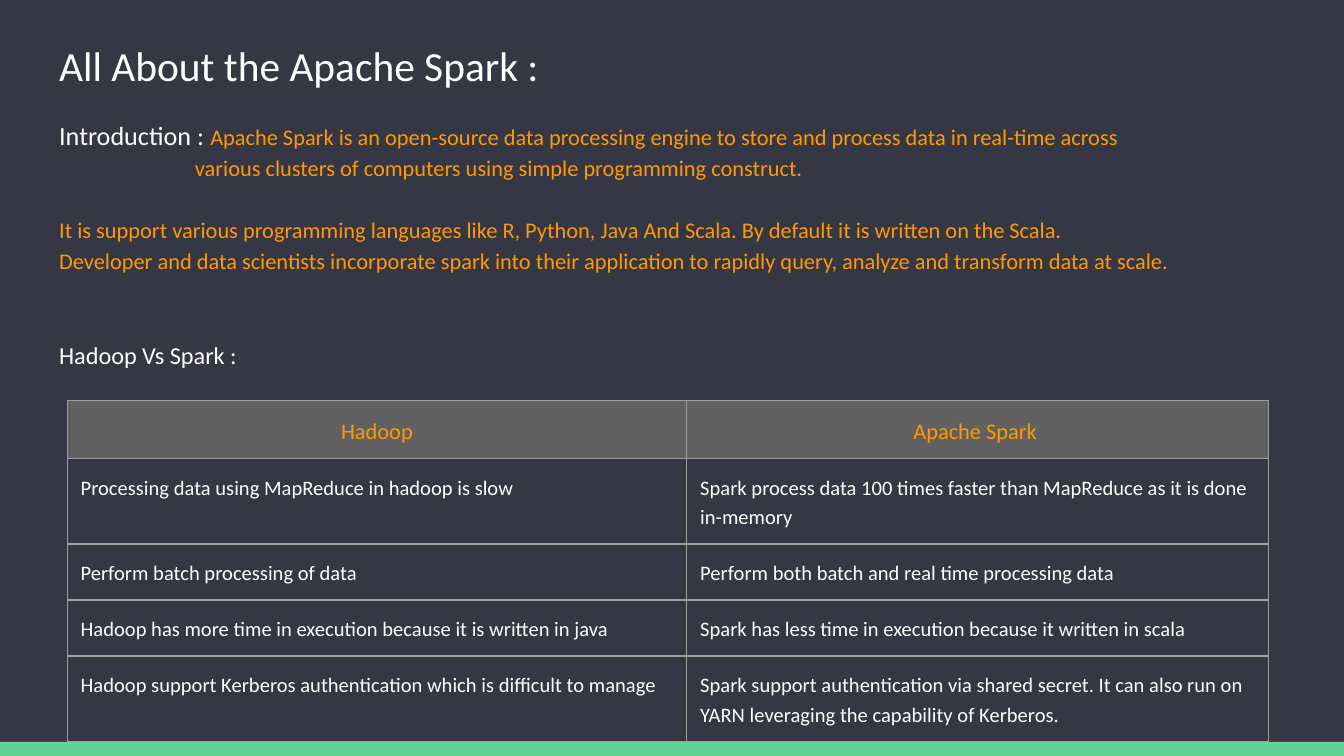
from lxml.etree import SubElement
from pptx import Presentation
from pptx.dml.color import RGBColor
from pptx.enum.shapes import MSO_SHAPE
from pptx.enum.text import MSO_ANCHOR, MSO_AUTO_SIZE, PP_ALIGN
from pptx.oxml.ns import qn
from pptx.util import Inches, Pt

NAVY = RGBColor(0x35, 0x37, 0x44)
GREEN = RGBColor(0x63, 0xD2, 0x97)
ORANGE = RGBColor(0xFF, 0x99, 0x00)
WHITE = RGBColor(0xFF, 0xFF, 0xFF)
GRAY = RGBColor(0x61, 0x61, 0x61)
BORDER = "9E9E9E"
LINE_SPACING = 1.15
BLANK_LINE = 16.6  # points taken by one empty 12 pt line

deck = Presentation()
deck.slide_width = Inches(10)
deck.slide_height = deck.slide_width * 9 // 16
page = deck.slides.add_slide(deck.slide_layouts[1])
page.background.fill.solid()
page.background.fill.fore_color.rgb = NAVY


def style(span, size, color):
    span.font.name = "Calibri"
    span.font.size = Pt(size)
    span.font.color.rgb = color


def prepare(box, top, height):
    """Place a placeholder in the text column and give its frame even insets."""
    box.left, box.width = Inches(0.34), Inches(9.32)
    box.top, box.height = Inches(top), Inches(height)
    frame = box.text_frame
    frame.word_wrap = True
    frame.auto_size = MSO_AUTO_SIZE.NONE
    frame.vertical_anchor = MSO_ANCHOR.TOP
    frame.margin_left = frame.margin_right = Inches(0.1)
    frame.margin_top = frame.margin_bottom = Inches(0.1)
    return frame


# Green strip along the bottom edge
strip_top = Inches(5.52)
strip = page.shapes.add_shape(MSO_SHAPE.RECTANGLE, 0, strip_top,
                              deck.slide_width, deck.slide_height - strip_top)
strip.shadow.inherit = False
strip.fill.solid()
strip.fill.fore_color.rgb = GREEN
strip.line.fill.background()

# Title
title = prepare(page.shapes.title, 0.2, 0.46)
title.text = "All About the Apache Spark :"
title.paragraphs[0].alignment = PP_ALIGN.LEFT
style(title.paragraphs[0].runs[0], 22.2, WHITE)

# Body: left indent in inches, blank lines before, runs of (text, size, colour)
body_lines = [
    (0, 0, [("Introduction : ", 14, WHITE),
            ("Apache Spark is an open-source data processing engine to store and "
             "process data in real-time across", 12, ORANGE)]),
    (1.01, 0, [("various clusters of computers using simple programming construct.",
                12, ORANGE)]),
    (0, 1, [("It is support various programming languages like R, Python, Java And "
             "Scala. By default it is written on the Scala.", 12, ORANGE)]),
    (0, 0, [("Developer and data scientists incorporate spark into their application "
             "to rapidly query, analyze and transform data at scale.", 12, ORANGE)]),
    (0, 2, [("Hadoop Vs Spark :", 13, WHITE)]),
]
body = prepare(page.placeholders[1], 0.75, 4.64)
for index, (indent, blanks, spans) in enumerate(body_lines):
    para = body.paragraphs[0] if index == 0 else body.add_paragraph()
    properties = para._p.get_or_add_pPr()
    properties.set("marL", str(Inches(indent)))
    properties.set("indent", "0")
    SubElement(properties, qn("a:buNone"))
    para.line_spacing = LINE_SPACING
    para.space_before = Pt(blanks * BLANK_LINE)
    for text, size, color in spans:
        span = para.add_run()
        span.text = text
        style(span, size, color)

# Comparison table
comparison = [
    ("Hadoop", "Apache Spark "),
    ("Processing data using MapReduce in hadoop is slow",
     "Spark process data 100 times faster than MapReduce as it is done in-memory"),
    ("Perform batch processing of data",
     "Perform both batch and real time processing data"),
    ("Hadoop has more time in execution because it is written in java",
     "Spark has less time in execution because it written in scala"),
    ("Hadoop support Kerberos authentication which is difficult to manage",
     "Spark support authentication via shared secret. It can also run on YARN "
     "leveraging the capability of Kerberos."),
]
column_widths = [4.61, 4.33]
row_heights = [0.43, 0.63, 0.41, 0.41, 0.63]
table = page.shapes.add_table(len(comparison), 2, Inches(0.5), Inches(2.98),
                              Inches(sum(column_widths)), Inches(sum(row_heights))).table
table.first_row = table.horz_banding = False
for column, width in zip(table.columns, column_widths):
    column.width = Inches(width)

for row, (height, texts) in enumerate(zip(row_heights, comparison)):
    table.rows[row].height = Inches(height)
    for column, text in enumerate(texts):
        cell = table.cell(row, column)
        cell.margin_left = cell.margin_right = Inches(0.1)
        cell.margin_top = cell.margin_bottom = Inches(0.1)
        cell.text = text
        para = cell.text_frame.paragraphs[0]
        para.line_spacing = LINE_SPACING
        cell_properties = cell._tc.get_or_add_tcPr()
        for side in ("a:lnL", "a:lnR", "a:lnT", "a:lnB"):
            edge = SubElement(cell_properties, qn(side), w=str(Pt(0.75)))
            SubElement(SubElement(edge, qn("a:solidFill")), qn("a:srgbClr"), val=BORDER)
        if row == 0:
            para.alignment = PP_ALIGN.CENTER
            style(para.runs[0], 12, ORANGE)
            cell.fill.solid()
            cell.fill.fore_color.rgb = GRAY
        else:
            style(para.runs[0], 11, WHITE)
            cell.fill.background()

deck.save("out.pptx")
